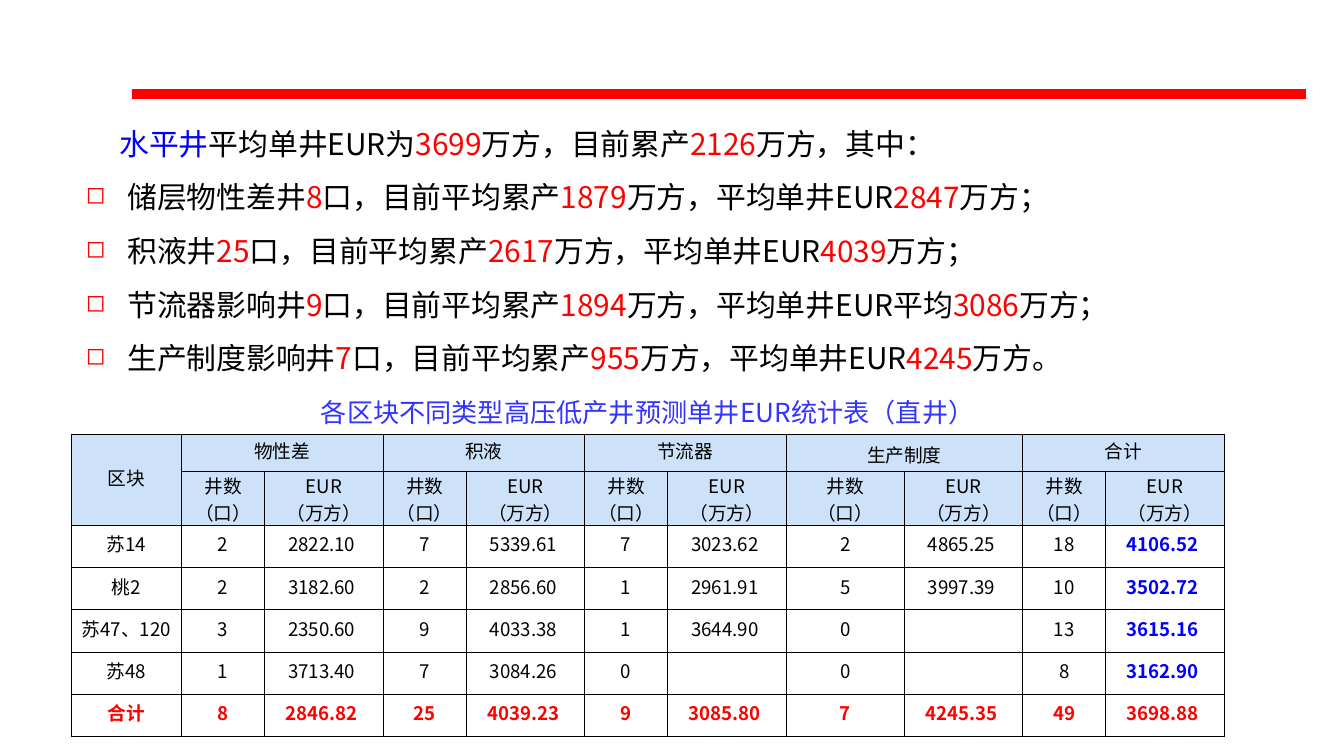
"""Build the slide on predicted EUR per well for high-pressure, low-yield wells."""
from itertools import groupby

from lxml import etree
from pptx import Presentation
from pptx.dml.color import RGBColor
from pptx.enum.shapes import MSO_CONNECTOR
from pptx.enum.text import MSO_ANCHOR, PP_ALIGN
from pptx.oxml.ns import qn
from pptx.util import Inches, Pt

CENTER, JUSTIFY = PP_ALIGN.CENTER, PP_ALIGN.JUSTIFY
TOP, MIDDLE = MSO_ANCHOR.TOP, MSO_ANCHOR.MIDDLE
STRAIGHT = MSO_CONNECTOR.STRAIGHT
BLANK_LAYOUT = 6

COLORS = {"black": "000000", "red": "FF0000", "blue": "0000FF",
          "caption": "3333FF", "header": "9DC8F3"}
BODY_FONT, CAPTION_FONT = "Noto Sans CJK SC", "Noto Sans CJK JP"

LEAD = ("水平井", "平均单井EUR为3699万方，目前累产2126万方，其中：")
FINDINGS = [
    "储层物性差井8口，目前平均累产1879万方，平均单井EUR2847万方；",
    "积液井25口，目前平均累产2617万方，平均单井EUR4039万方；",
    "节流器影响井9口，目前平均累产1894万方，平均单井EUR平均3086万方；",
    "生产制度影响井7口，目前平均累产955万方，平均单井EUR4245万方。",
]
CAPTION = "各区块不同类型高压低产井预测单井EUR统计表（直井）"
GROUPS = ["物性差", "积液", "节流器", "生产制度", "合计"]
WELLS, EUR = "井数\n（口）", "EUR\n（万方）"
BLOCKS = [
    ("苏14", 2, 2822.10, 7, 5339.61, 7, 3023.62, 2, 4865.25, 18, 4106.52),
    ("桃2", 2, 3182.60, 2, 2856.60, 1, 2961.91, 5, 3997.39, 10, 3502.72),
    ("苏47、120", 3, 2350.60, 9, 4033.38, 1, 3644.90, 0, None, 13, 3615.16),
    ("苏48", 1, 3713.40, 7, 3084.26, 0, None, 0, None, 8, 3162.90),
    ("合计", 8, 2846.82, 25, 4039.23, 9, 3085.80, 7, 4245.35, 49, 3698.88),
]
COLUMN_WIDTHS = [0.82] + [0.62, 0.88] * 3 + [0.88, 0.88] + [0.62, 0.88]
TABLE_HEIGHT, HEADER_HEIGHTS = 2.25, [0.28, 0.4]
BLOCK_HEIGHT = (TABLE_HEIGHT - sum(HEADER_HEIGHTS)) / len(BLOCKS)
ROW_HEIGHTS = HEADER_HEIGHTS + [BLOCK_HEIGHT] * len(BLOCKS)
CELL_INSETS = (0.01, 0.01, 0.01, 0.05)
UNIT_INSETS = (0.01, 0, 0.01, 0)
REGIME_INSETS = (0.1, 0.05, 0.1, 0.02)


def write(para, text, size=10, color="black", font=BODY_FONT, bold=False):
    """Add one formatted run to a paragraph."""
    span = para.add_run()
    span.text = text
    span.font.size = Pt(size)
    span.font.bold = bold
    span.font.name = font
    span.font.color.rgb = RGBColor.from_string(COLORS[color])
    etree.SubElement(span.font._element, qn("a:ea"), typeface=font)


def show(value):
    """Return a table value as text."""
    if value is None:
        return ""
    return f"{value:.2f} " if isinstance(value, float) else str(value)


class Slide:
    """Hold the deck, the current page and the shared style."""

    def __init__(self, width, height):
        self.deck = Presentation()
        self.deck.slide_width, self.deck.slide_height = Inches(width), Inches(height)
        self.page = self.deck.slides.add_slide(self.deck.slide_layouts[BLANK_LAYOUT])

    def rule(self, left, top, right, color, weight):
        """Draw a horizontal line."""
        line = self.page.shapes.add_connector(
            STRAIGHT, Inches(left), Inches(top), Inches(right), Inches(top))
        line.line.color.rgb = RGBColor.from_string(COLORS[color])
        line.line.width = Pt(weight)
        etree.SubElement(line._element.spPr, qn("a:effectLst"))

    def text_box(self, left, top, width, height):
        """Add a wrapping text box and return its frame."""
        box = self.page.shapes.add_textbox(*map(Inches, (left, top, width, height)))
        box.text_frame.word_wrap = True
        return box.text_frame

    def caption(self, text, *place):
        """Add the centred table caption."""
        para = self.text_box(*place).paragraphs[0]
        para.alignment = CENTER
        write(para, text, size=14, color="caption", font=CAPTION_FONT)

    def findings(self, lead, items, *place):
        """Add the lead sentence and the bulleted findings with red figures."""
        frame = self.text_box(*place)
        para = frame.paragraphs[0]
        self.body_format(para, 0, 0.25)
        write(para, lead[0], size=16, color="blue")
        self.figures(para, lead[1])
        for item in items:
            para = frame.add_paragraph()
            self.body_format(para, 0.31, -0.31)
            properties = para._p.get_or_add_pPr()
            tint = etree.SubElement(properties, qn("a:buClr"))
            etree.SubElement(tint, qn("a:srgbClr"), val=COLORS["red"])
            etree.SubElement(properties, qn("a:buSzPct"), val="80000")
            etree.SubElement(properties, qn("a:buChar"), char="◻")
            self.figures(para, item)

    def body_format(self, para, margin, indent):
        """Set alignment, spacing and indents of a body paragraph."""
        para.alignment, para.line_spacing = JUSTIFY, 1.5
        properties = para._p.get_or_add_pPr()
        properties.set("marL", str(Inches(margin)))
        properties.set("indent", str(Inches(indent)))

    def figures(self, para, text):
        """Write a sentence with its digits in red."""
        for is_figure, letters in groupby(text, str.isdigit):
            write(para, "".join(letters), size=16, color="red" if is_figure else "black")

    def table(self, left, top, widths, heights):
        """Add a plain table with the given grid."""
        table = self.page.shapes.add_table(
            len(heights), len(widths), Inches(left), Inches(top),
            Inches(sum(widths)), Inches(sum(heights))).table
        table.first_row = table.horz_banding = False
        for column, width in zip(table.columns, widths):
            column.width = Inches(width)
        for row, height in zip(table.rows, heights):
            row.height = Inches(height)
        return table

    def cell(self, cell, text, header=False, insets=CELL_INSETS, anchor=MIDDLE, **style):
        """Fill in one bordered table cell."""
        (cell.margin_left, cell.margin_top,
         cell.margin_right, cell.margin_bottom) = map(Inches, insets)
        cell.vertical_anchor = anchor
        properties = cell._tc.get_or_add_tcPr()
        for side in ("lnL", "lnR", "lnT", "lnB"):
            edge = etree.SubElement(properties, qn(f"a:{side}"), w=str(Pt(0.5)))
            paint = etree.SubElement(edge, qn("a:solidFill"))
            etree.SubElement(paint, qn("a:srgbClr"), val=COLORS["black"])
        if header:
            cell.fill.solid()
            cell.fill.fore_color.rgb = RGBColor.from_string(COLORS["header"])
            tint = properties.find(qn("a:solidFill")).find(qn("a:srgbClr"))
            etree.SubElement(tint, qn("a:alpha"), val="51000")
        else:
            cell.fill.background()
        for index, line in enumerate(text.split("\n")):
            para = cell.text_frame.add_paragraph() if index else cell.text_frame.paragraphs[0]
            para.alignment = CENTER
            if line:
                write(para, line, **style)
            else:
                etree.SubElement(para._p, qn("a:endParaRPr"), sz="1000")


def main():
    """Compose and save the slide."""
    slide = Slide(10, 10 * 9 / 16)
    slide.rule(0.98, 0.7, 9.72, "red", 5.25)
    table = slide.table(0.53, 3.23, COLUMN_WIDTHS, ROW_HEIGHTS)

    slide.cell(table.cell(0, 0), "区块", header=True)
    slide.cell(table.cell(1, 0), "", header=True)
    table.cell(0, 0).merge(table.cell(1, 0))
    for index, group in enumerate(GROUPS):
        column = 1 + 2 * index
        is_regime = group == "生产制度"
        slide.cell(table.cell(0, column), group, header=True,
                   insets=REGIME_INSETS if is_regime else CELL_INSETS,
                   anchor=TOP if is_regime else MIDDLE)
        slide.cell(table.cell(0, column + 1), "", header=True)
        table.cell(0, column).merge(table.cell(0, column + 1))
        for offset, unit in enumerate((WELLS, EUR)):
            slide.cell(table.cell(1, column + offset), unit, header=True, insets=UNIT_INSETS)

    last_column = len(COLUMN_WIDTHS) - 1
    for row, block in enumerate(BLOCKS, start=len(HEADER_HEIGHTS)):
        is_total = block is BLOCKS[-1]
        for column, value in enumerate(block):
            is_sum = column == last_column
            color = "red" if is_total else "blue" if is_sum else "black"
            slide.cell(table.cell(row, column), show(value), color=color,
                       bold=is_total or is_sum)

    slide.caption(CAPTION, 0.53, 2.9, 8.58, 0.34)
    slide.findings(LEAD, FINDINGS, 0.54, 0.75, 9.1, 2.12)
    slide.deck.save("out.pptx")


if __name__ == "__main__":
    main()
